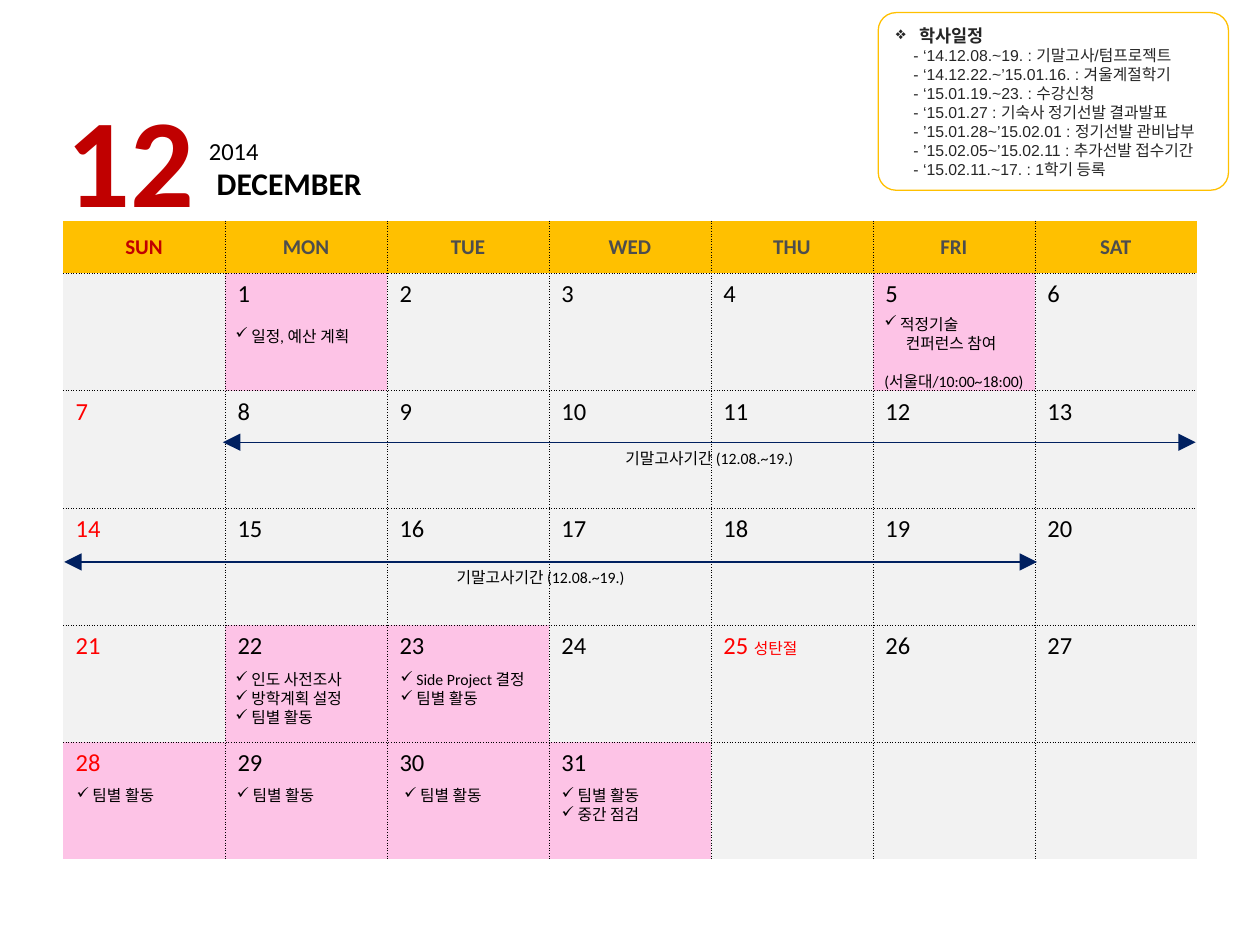
"""Build the December 2014 calendar slide."""
from lxml.etree import SubElement
from pptx import Presentation
from pptx.dml.color import RGBColor
from pptx.enum.shapes import MSO_CONNECTOR, MSO_SHAPE
from pptx.enum.text import MSO_ANCHOR, PP_ALIGN
from pptx.oxml.ns import qn
from pptx.util import Inches, Pt

BLACK = RGBColor(0, 0, 0)
INK = RGBColor(0x26, 0x26, 0x26)
GREY = RGBColor(0x4D, 0x4D, 0x4D)
PALE = RGBColor(0xF2, 0xF2, 0xF2)
PINK = RGBColor(0xFD, 0xC3, 0xE6)
GOLD = RGBColor(0xFF, 0xC0, 0x00)
RED = RGBColor(0xFF, 0, 0)
WINE = RGBColor(0xC0, 0, 0)
NAVY = RGBColor(0, 0x20, 0x60)

DAYS = ["SUN", "MON", "TUE", "WED", "THU", "FRI", "SAT"]
WEEKS = 5
BUSY = {1, 5, 22, 23, 28, 29, 30, 31}
HOLIDAY = 25
TEAM = (" 팀별 활동", "✓")
EXAM = "기말고사기간 (12.08.~19.)"
TASKS = [
    (1.77, 2.54, 1.17, 0.25, [(" 일정, 예산 계획", "✓")]),
    (6.92, 2.45, 1.48, 0.56, [(" 적정기술", "✓"), ("컨퍼런스 참여", "", 0.17),
                              ("(서울대/10:00~18:00)", "", 0, 11)]),
    (1.77, 5.27, 1.12, 0.56, [(" 인도 사전조사", "✓"), (" 방학계획 설정", "✓"), TEAM]),
    (3.08, 5.27, 1.22, 0.4, [(" Side Project 결정", "✓"), TEAM]),
    (0.51, 6.19, 0.86, 0.25, [TEAM]),
    (1.78, 6.19, 0.86, 0.25, [TEAM]),
    (3.11, 6.19, 0.86, 0.25, [TEAM]),
    (4.36, 6.19, 0.86, 0.4, [TEAM, (" 중간 점검", "✓")]),
]
SPANS = [(1.77, 9.49, 3.51, 4.83), (0.51, 8.23, 4.46, 3.49)]
TERM = [
    "- ‘14.12.08.~19. : 기말고사/텀프로젝트",
    "- ‘14.12.22.~’15.01.16. : 겨울계절학기",
    "- ‘15.01.19.~23. : 수강신청",
    "- ‘15.01.27 : 기숙사 정기선발 결과발표",
    "- ’15.01.28~’15.02.01 : 정기선발 관비납부",
    "- ’15.02.05~’15.02.11 : 추가선발 접수기간",
    "- ‘15.02.11.~17. : 1학기 등록",
]


class Page:
    """Hold the text style and the current slide."""

    def __init__(self, deck):
        self.slide = deck.slides.add_slide(deck.slide_layouts[5])
        self.shapes = self.slide.shapes
        self.base = {"name": "Calibri", "size": Pt(9), "bold": False}

    def run(self, para, text, color=BLACK, **fmt):
        run = para.add_run()
        run.text = text
        for key, value in {**self.base, **fmt}.items():
            setattr(run.font, key, value)
        run.font.color.rgb = color

    def para(self, para, text, mark="", pad=0, gap=0, hang=0,
             align=PP_ALIGN.LEFT, **fmt):
        para.alignment = align
        para.space_before = Pt(gap)
        props = para._p.get_or_add_pPr()
        props.set("marL", str(Inches(pad)))
        props.set("indent", str(-Inches(hang)))
        if mark:
            SubElement(props, qn("a:buChar")).set("char", mark)
        self.run(para, text, **fmt)

    def fill(self, frame, lines, wrap=True, **fmt):
        frame.word_wrap = wrap
        for i, line in enumerate(lines):
            para = frame.add_paragraph() if i else frame.paragraphs[0]
            self.para(para, *line, **fmt)

    def text(self, x, y, w, h, lines, **fmt):
        box = self.shapes.add_textbox(*map(Inches, (x, y, w, h)))
        self.fill(box.text_frame, lines, **fmt)

    def title(self, x, y, w, h, text, **fmt):
        box = self.shapes.title
        place = {"left": x, "top": y, "width": w, "height": h}
        for key, value in place.items():
            setattr(box, key, Inches(value))
        box.text_frame.vertical_anchor = MSO_ANCHOR.TOP
        self.fill(box.text_frame, [(text,)], wrap=False, **fmt)

    def arrow(self, left, right, y):
        line = self.shapes.add_connector(
            MSO_CONNECTOR.STRAIGHT, *map(Inches, (left, y, right, y)))
        line.line.color.rgb = NAVY
        line.line.width = Pt(0.75)
        props = line._element.spPr
        for end in ("a:headEnd", "a:tailEnd"):
            tip = SubElement(props.find(qn("a:ln")), qn(end))
            for key, value in {"type": "triangle", "w": "lg", "len": "lg"}.items():
                tip.set(key, value)
        SubElement(props, qn("a:effectLst"))

    def panel(self, x, y, w, h, head, lines):
        box = self.shapes.add_shape(
            MSO_SHAPE.ROUNDED_RECTANGLE, *map(Inches, (x, y, w, h)))
        box.adjustments[0] = 0.1
        box.shadow.inherit = False
        box.fill.background()
        box.line.color.rgb = GOLD
        box.line.width = Pt(0.75)
        frame = box.text_frame
        frame.vertical_anchor = MSO_ANCHOR.MIDDLE
        frame.word_wrap = True
        self.para(frame.paragraphs[0], head, "❖", pad=0.19, hang=0.19,
                  name="Arial", size=Pt(10), bold=True, color=INK)
        for line in lines:
            self.para(frame.add_paragraph(), line, pad=0.14, name="Arial", color=INK)

    def edge(self, cell, sides):
        props = cell._tc.get_or_add_tcPr()
        for side, shown in sides.items():
            line = SubElement(props, qn("a:ln" + side))
            line.set("w", str(Pt(0.25)))
            if shown:
                ink = SubElement(line, qn("a:solidFill"))
                SubElement(ink, qn("a:srgbClr")).set("val", str(BLACK))
                SubElement(line, qn("a:prstDash")).set("val", "sysDot")
            else:
                SubElement(line, qn("a:noFill"))

    def paint(self, cell, color):
        cell.fill.solid()
        cell.fill.fore_color.rgb = color

    def month(self, x, y, w, h):
        size = map(Inches, (x, y, w, h))
        grid = self.shapes.add_table(WEEKS + 1, len(DAYS), *size).table
        for col in grid.columns:
            col.width = Inches(w / len(DAYS))
        for r, row in enumerate(grid.rows):
            row.height = Inches(0.93 if r else 0.42)
            for c, cell in enumerate(row.cells):
                self.edge(cell, {"L": c > 0, "R": c < len(DAYS) - 1,
                                 "T": r > 0, "B": r < WEEKS})
                if r:
                    self.day(cell, (r - 1) * len(DAYS) + c, c == 0)
                else:
                    self.paint(cell, GOLD)
                    cell.vertical_anchor = MSO_ANCHOR.MIDDLE
                    self.para(cell.text_frame.paragraphs[0], DAYS[c],
                              align=PP_ALIGN.CENTER, size=Pt(12), bold=True,
                              color=GREY if c else WINE)

    def day(self, cell, date, sunday):
        self.paint(cell, PINK if date in BUSY else PALE)
        if not 1 <= date <= 31:
            return
        para = cell.text_frame.paragraphs[0]
        feast = date == HOLIDAY
        self.run(para, f"{date} " if feast else str(date), size=Pt(14),
                 color=RED if sunday or feast else BLACK)
        if feast:
            self.run(para, "성탄절", color=RED)


def main():
    deck = Presentation()
    deck.slide_width, deck.slide_height = Inches(10), Inches(7.5)
    page = Page(deck)
    page.month(0.5, 1.75, 9, 5.07)
    page.text(0.43, 0.6, 1.23, 1.31, [("12",)], wrap=False,
              size=Pt(72), bold=True, color=WINE)
    page.text(1.56, 1.03, 0.6, 0.34, [("2014",)], wrap=False, size=Pt(14))
    page.title(1.62, 1.25, 1.36, 0.4, "DECEMBER", size=Pt(18), bold=True)
    for left, right, y, label in SPANS:
        page.arrow(left, right, y)
        page.text(label, y, 1.6, 0.25, [(EXAM,)], align=PP_ALIGN.CENTER)
    for task in TASKS:
        page.text(*task)
    page.panel(6.97, 0.1, 2.78, 1.41, "학사일정", TERM)
    deck.save("out.pptx")


if __name__ == "__main__":
    main()
